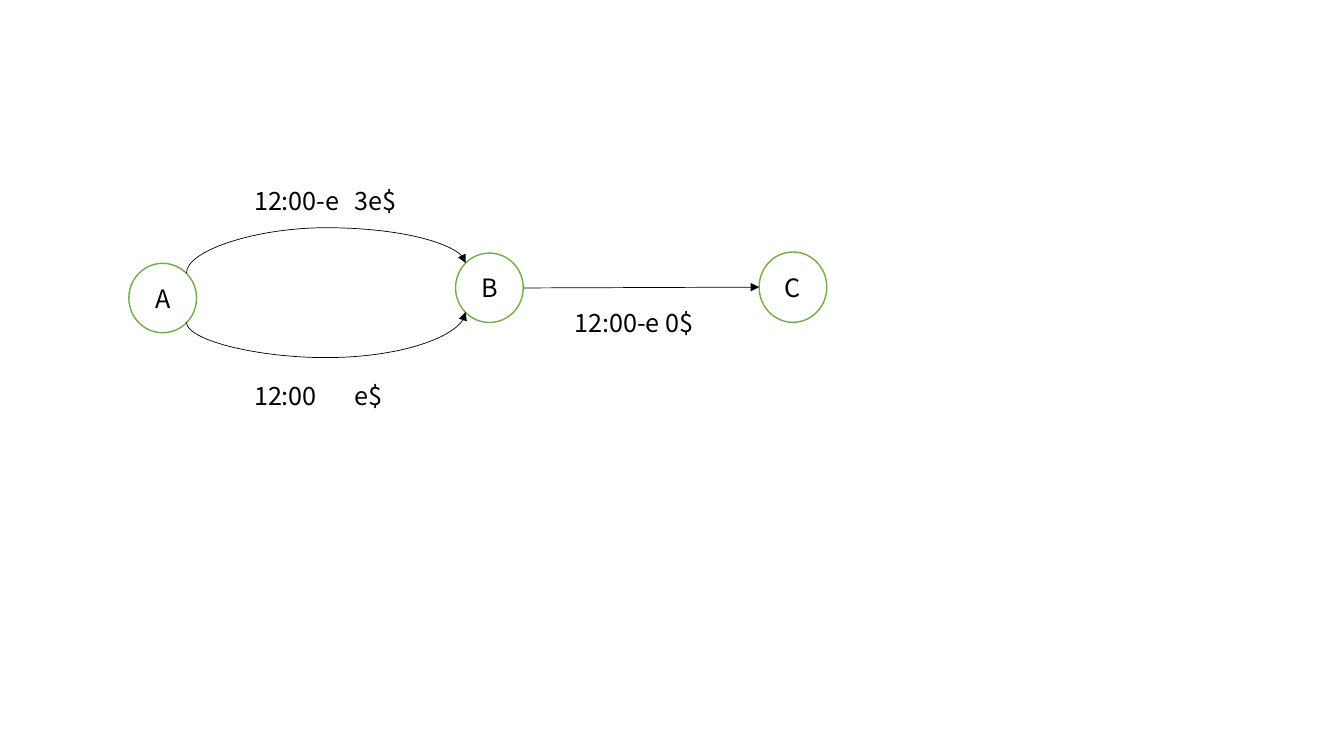
from dataclasses import dataclass

from lxml.etree import SubElement
from pptx import Presentation
from pptx.dml.color import RGBColor
from pptx.enum.shapes import MSO_CONNECTOR as Line, MSO_SHAPE as Preset
from pptx.enum.text import MSO_ANCHOR as Anchor, MSO_AUTO_SIZE as AutoSize, PP_ALIGN as Align
from pptx.oxml.ns import qn
from pptx.shapes.connector import Connector
from pptx.slide import Slide
from pptx.text.text import TextFrame
from pptx.util import Pt

COLORS = {"fill": "FFFFFF", "outline": "70AD47", "ink": "000000"}
FONT = "Noto Sans CJK SC"
NODE_WIDTH = 48.4
LABEL_HEIGHT = 29


@dataclass(frozen=True)
class Node:
    name: str
    left: float
    top: float
    height: float


@dataclass(frozen=True)
class Edge:
    start: tuple[float, float]
    end: tuple[float, float]
    peak: float | None = None


@dataclass(frozen=True)
class Label:
    text: str
    left: float
    top: float
    width: float


NODES = [
    Node("A", 92, 188.1, 49.6),
    Node("B", 325.4, 180.8, 49.6),
    Node("C", 542.2, 180, 50.3),
]
EDGES = [
    Edge((133.2, 195.1), (332.6, 187.9), 162.7),
    Edge((133.2, 230.2), (332.6, 223), 255.5),
    Edge((373.8, 205.7), (542.2, 205.1)),
]
LABELS = [
    Label("12:00-e\t3e$", 174.4, 128.5, 151),
    Label("12:00\te$", 174.4, 267.8, 137),
    Label("12:00-e 0$", 403.2, 215.8, 115),
]


def color(name: str) -> RGBColor:
    return RGBColor.from_string(COLORS[name])


def add_text(frame: TextFrame, text: str, align: Align) -> None:
    frame.word_wrap = True
    paragraph = frame.paragraphs[0]
    paragraph.alignment = align
    run = paragraph.add_run()
    run.text = text
    run.font.name = FONT
    run.font.size = Pt(18)
    run.font.color.rgb = color("ink")


def draw_node(slide: Slide, node: Node) -> None:
    shape = slide.shapes.add_shape(
        Preset.OVAL, Pt(node.left), Pt(node.top), Pt(NODE_WIDTH), Pt(node.height)
    )
    shape.shadow.inherit = False
    shape.fill.solid()
    shape.fill.fore_color.rgb = color("fill")
    shape.line.color.rgb = color("outline")
    shape.line.width = Pt(1)
    shape.text_frame.vertical_anchor = Anchor.MIDDLE
    add_text(shape.text_frame, node.name, Align.CENTER)


def add_arc(slide: Slide, edge: Edge, peak: float) -> Connector:
    (start_x, start_y), (end_x, end_y) = edge.start, edge.end
    center_x, center_y = (start_x + end_x) / 2, (start_y + end_y) / 2
    half_width, half_height = (end_x - start_x) / 2, (end_y - start_y) / 2
    connector = slide.shapes.add_connector(
        Line.CURVE,
        Pt(center_x - half_height),
        Pt(center_y + half_width),
        Pt(center_x + half_height),
        Pt(center_y - half_width),
    )
    properties = connector._element.spPr
    properties.find(qn("a:xfrm")).set("rot", str(90 * 60000))
    adjustments = properties.find(qn("a:prstGeom")).get_or_add_avLst()
    bend = round((peak - start_y) / (end_y - start_y) * 100000)
    SubElement(adjustments, qn("a:gd"), name="adj1", fmla=f"val {bend}")
    return connector


def draw_edge(slide: Slide, edge: Edge) -> None:
    if edge.peak is None:
        points = [Pt(value) for value in (*edge.start, *edge.end)]
        connector = slide.shapes.add_connector(Line.STRAIGHT, *points)
    else:
        connector = add_arc(slide, edge, edge.peak)
    connector.line.color.rgb = color("ink")
    connector.line.width = Pt(0.5)
    SubElement(connector.line._get_or_add_ln(), qn("a:tailEnd"), type="triangle")
    SubElement(connector._element.spPr, qn("a:effectLst"))


def draw_label(slide: Slide, label: Label) -> None:
    box = slide.shapes.add_textbox(
        Pt(label.left), Pt(label.top), Pt(label.width), Pt(LABEL_HEIGHT)
    )
    box.text_frame.auto_size = AutoSize.SHAPE_TO_FIT_TEXT
    add_text(box.text_frame, label.text, Align.LEFT)


def main() -> None:
    presentation = Presentation()
    presentation.slide_width, presentation.slide_height = Pt(960), Pt(540)
    slide = presentation.slides.add_slide(presentation.slide_layouts[6])
    for node in NODES:
        draw_node(slide, node)
    for edge in EDGES:
        draw_edge(slide, edge)
    for label in LABELS:
        draw_label(slide, label)
    presentation.save("out.pptx")


main()
